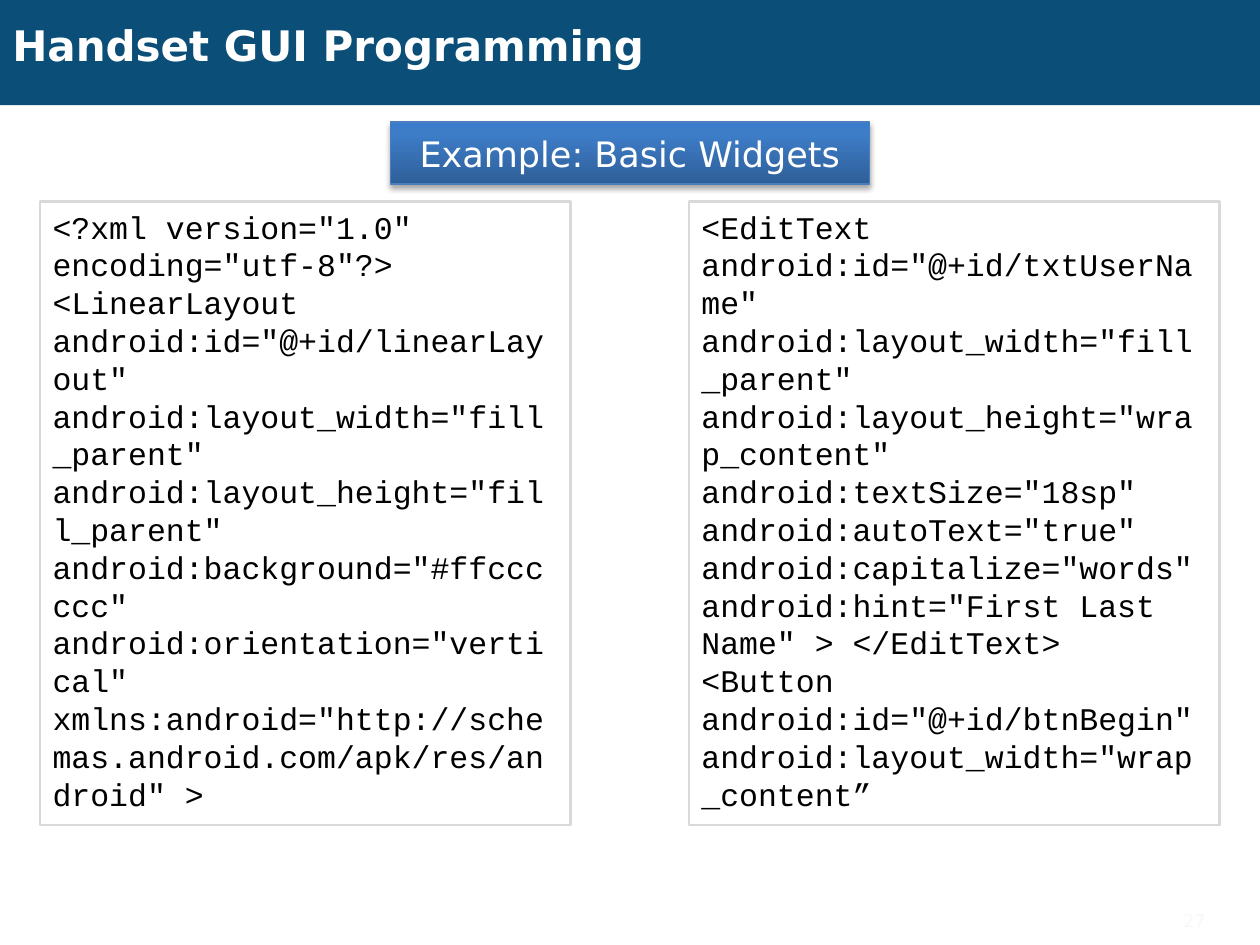
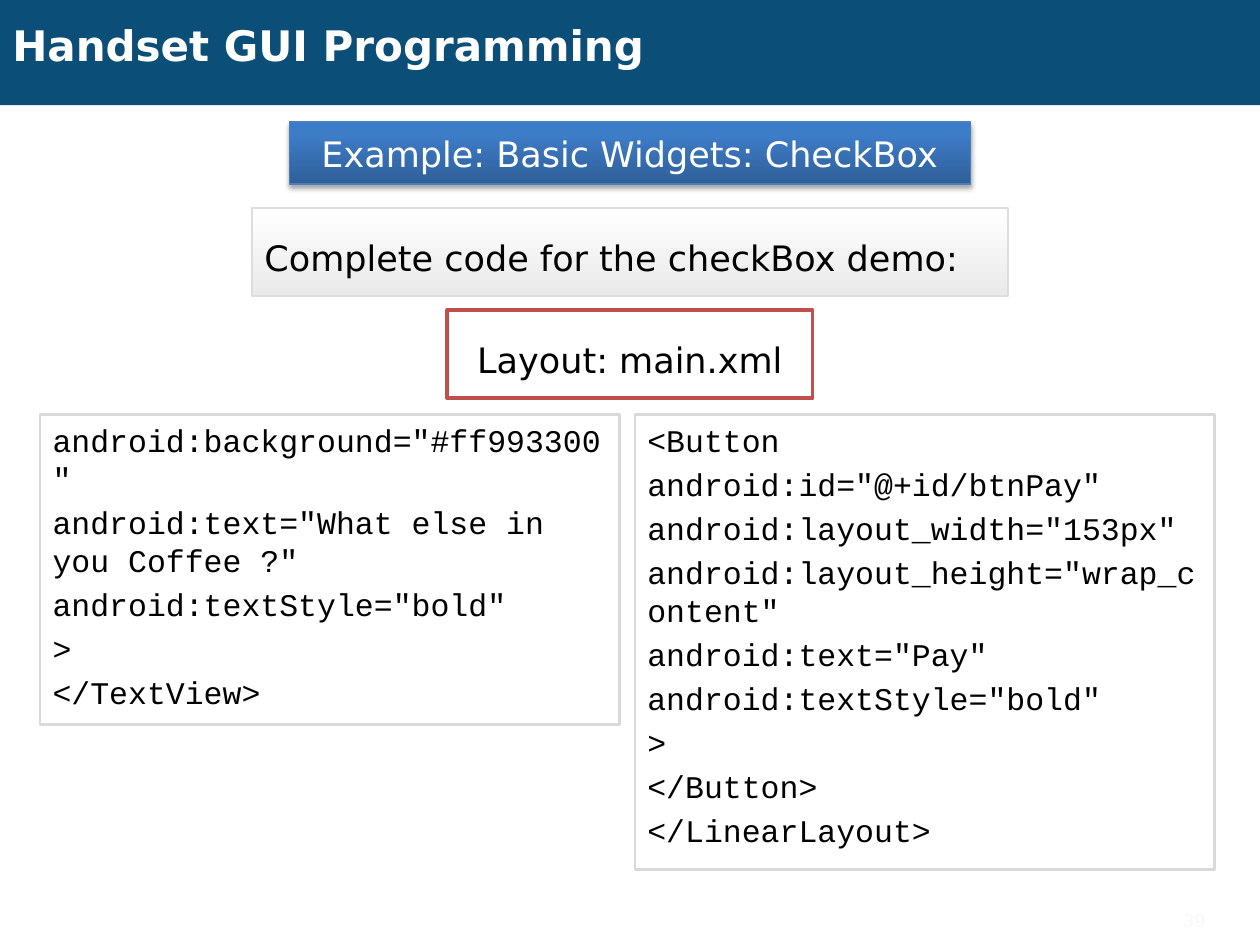
from lxml.etree import SubElement
from pptx import Presentation
from pptx.dml.color import RGBColor
from pptx.enum.shapes import MSO_SHAPE as Preset
from pptx.enum.text import MSO_ANCHOR as Anchor, MSO_AUTO_SIZE as AutoSize, PP_ALIGN as Align
from pptx.oxml.ns import qn
from pptx.util import Cm, Pt

COLORS = {
    "band": "0B4E78",
    "white": "FFFFFF",
    "black": "000000",
    "badge_dark": "2F5F99",
    "badge_mid": "3D7CC7",
    "badge_light": "3A7CCB",
    "badge_line": "4B7EBC",
    "note_end": "EAEAEA",
    "note_line": "DDDDDD",
    "panel_line": "D9D9D9",
    "red": "C0504D",
    "number": "F8F8F8",
}

TITLE = "Handset GUI Programming"
SLIDES = [
    {
        "number": "27",
        "badge": ("Example: Basic Widgets", 9.65),
        "labels": [],
        "panel_top": 4.06,
        "panel_width": 10.69,
        "panels": [
            (0.81, 12.57, [
                '<?xml version="1.0" encoding="utf-8"?> <LinearLayout '
                'android:id="@+id/linearLayout" android:layout_width="fill_parent" '
                'android:layout_height="fill_parent" android:background="#ffcccccc" '
                'android:orientation="vertical" '
                'xmlns:android="http://schemas.android.com/apk/res/android" >',
            ]),
            (13.89, 12.57, [
                '<EditText android:id="@+id/txtUserName" '
                'android:layout_width="fill_parent" android:layout_height="wrap_content" '
                'android:textSize="18sp" android:autoText="true" '
                'android:capitalize="words" android:hint="First Last Name" > </EditText> '
                '<Button android:id="@+id/btnBegin" android:layout_width="wrap_content”',
            ]),
        ],
    },
    {
        "number": "39",
        "badge": ("Example: Basic Widgets: CheckBox", 13.72),
        "labels": [
            ("Complete code for the checkBox demo:", "note", 4.19, 15.24),
            ("Layout: main.xml", "file", 6.25, 7.37),
        ],
        "panel_top": 8.36,
        "panel_width": 11.68,
        "panels": [
            (0.81, 6.25, [
                'android:background="#ff993300"',
                'android:text="What else in you Coffee ?"',
                'android:textStyle="bold"',
                ">",
                "</TextView>",
            ]),
            (12.8, 9.17, [
                "<Button",
                'android:id="@+id/btnPay"',
                'android:layout_width="153px"',
                'android:layout_height="wrap_content"',
                'android:text="Pay"',
                'android:textStyle="bold"',
                ">",
                "</Button>",
                "</LinearLayout>",
            ]),
        ],
    },
]

PAGE_WIDTH, PAGE_HEIGHT = 25.4, 19.05
BADGE_TOP, BADGE_HEIGHT, LABEL_HEIGHT = 2.46, 1.25, 1.78

FONTS = {
    "title": {"name": "DejaVu Sans", "size": Pt(24), "bold": True},
    "label": {"name": "DejaVu Sans", "size": Pt(20)},
    "code": {"name": "Courier New", "size": Pt(18)},
    "number": {"name": "DejaVu Sans", "size": Pt(10)},
}
LABEL_STYLES = {
    "badge": {
        "gradient": ([(0, "badge_dark"), (80, "badge_mid"), (100, "badge_light")], 90),
        "line": ("badge_line", 0.75), "color": "white",
        "paragraph": {"alignment": Align.CENTER},
    },
    "note": {
        "gradient": ([(0, "white"), (100, "note_end")], 270),
        "line": ("note_line", 1), "color": "black",
        "paragraph": {"alignment": Align.JUSTIFY, "line_spacing": Pt(30)},
    },
    "file": {
        "fill": "white",
        "line": ("red", 2), "color": "black",
        "paragraph": {"alignment": Align.CENTER, "line_spacing": Pt(30)},
    },
}


def rgb(name):
    return RGBColor.from_string(COLORS[name])


def apply(target, values):
    for name, value in values.items():
        setattr(target, name, value)


def write(shape, lines, font, color, paragraph_format, frame_format):
    frame = shape.text_frame
    apply(frame, {"word_wrap": True, **frame_format})
    for index, line in enumerate(lines):
        paragraph = frame.add_paragraph() if index else frame.paragraphs[0]
        apply(paragraph, paragraph_format)
        if index:
            paragraph.space_before = Pt(3.6)
        run = paragraph.add_run()
        run.text = line
        apply(run.font, FONTS[font])
        run.font.color.rgb = rgb(color)


def add_box(slide, box, fill=None, line=None):
    shape = slide.shapes.add_shape(Preset.RECTANGLE, *map(Cm, box))
    shape.shadow.inherit = False
    if fill:
        shape.fill.solid()
        shape.fill.fore_color.rgb = rgb(fill)
    else:
        shape.fill.background()
    if line:
        color, width = line
        shape.line.color.rgb = rgb(color)
        shape.line.width = Pt(width)
    else:
        shape.line.fill.background()
    return shape


def add_text(slide, box, text, font, color, alignment):
    shape = slide.shapes.add_textbox(*map(Cm, box))
    write(shape, [text], font, color, {"alignment": alignment},
          {"vertical_anchor": Anchor.MIDDLE})


def paint_gradient(shape, stops, angle):
    shape.fill.gradient()
    shape.fill.gradient_angle = angle
    stop_list = shape._element.spPr.find(qn("a:gradFill")).find(qn("a:gsLst"))
    for stop in list(stop_list):
        stop_list.remove(stop)
    for position, color in stops:
        stop = SubElement(stop_list, qn("a:gs"), pos=str(position * 1000))
        SubElement(stop, qn("a:srgbClr"), val=COLORS[color])


def cast_shadow(shape):
    effects = shape._element.spPr.find(qn("a:effectLst"))
    shadow = SubElement(effects, qn("a:outerShdw"), blurRad=str(Pt(3.1)),
                        dist=str(Pt(1.8)), dir="5400000", rotWithShape="0")
    color = SubElement(shadow, qn("a:srgbClr"), val=COLORS["black"])
    SubElement(color, qn("a:alpha"), val="35000")


def add_label(slide, text, style_name, top, width, height):
    style = LABEL_STYLES[style_name]
    box = ((PAGE_WIDTH - width) / 2, top, width, height)
    shape = add_box(slide, box, style.get("fill"), style["line"])
    if "gradient" in style:
        paint_gradient(shape, *style["gradient"])
    write(shape, [text], "label", style["color"], style["paragraph"],
          {"vertical_anchor": Anchor.MIDDLE})
    return shape


def add_code_panel(slide, box, lines):
    shape = add_box(slide, box, line=("panel_line", 1.5))
    write(shape, lines, "code", "black", {"alignment": Align.LEFT},
          {"vertical_anchor": Anchor.TOP, "auto_size": AutoSize.SHAPE_TO_FIT_TEXT})


def build_slide(presentation, content):
    slide = presentation.slides.add_slide(presentation.slide_layouts[6])
    add_box(slide, (0, 0, PAGE_WIDTH, 2.12), "band")
    add_text(slide, (0, 0.36, 22.86, 1.09), TITLE, "title", "white", Align.LEFT)
    text, width = content["badge"]
    cast_shadow(add_label(slide, text, "badge", BADGE_TOP, width, BADGE_HEIGHT))
    for text, style_name, top, width in content["labels"]:
        add_label(slide, text, style_name, top, width, LABEL_HEIGHT)
    for left, height, lines in content["panels"]:
        add_code_panel(
            slide, (left, content["panel_top"], content["panel_width"], height), lines)
    add_text(slide, (22.55, 18.05, 2, 1), content["number"], "number", "number", Align.RIGHT)


def main():
    presentation = Presentation()
    presentation.slide_width = Cm(PAGE_WIDTH)
    presentation.slide_height = Cm(PAGE_HEIGHT)
    for content in SLIDES:
        build_slide(presentation, content)
    presentation.save("out.pptx")


if __name__ == "__main__":
    main()
